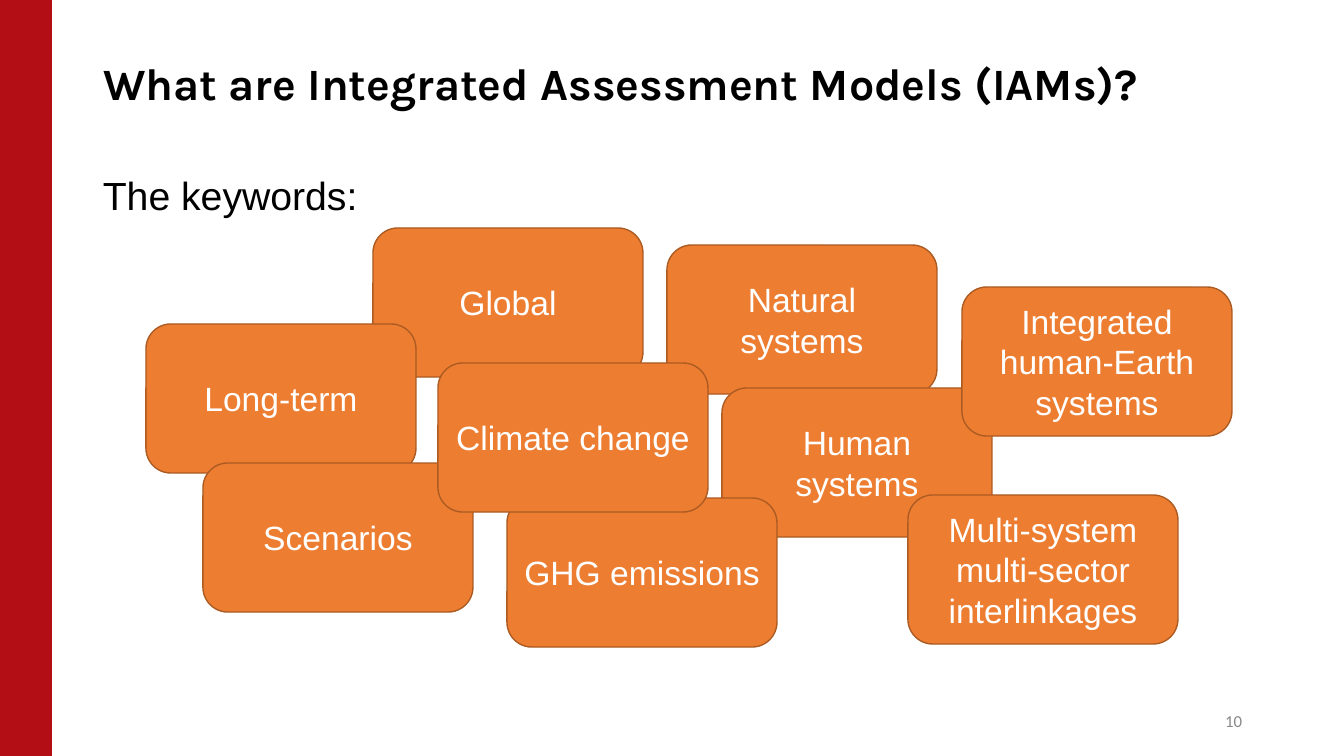
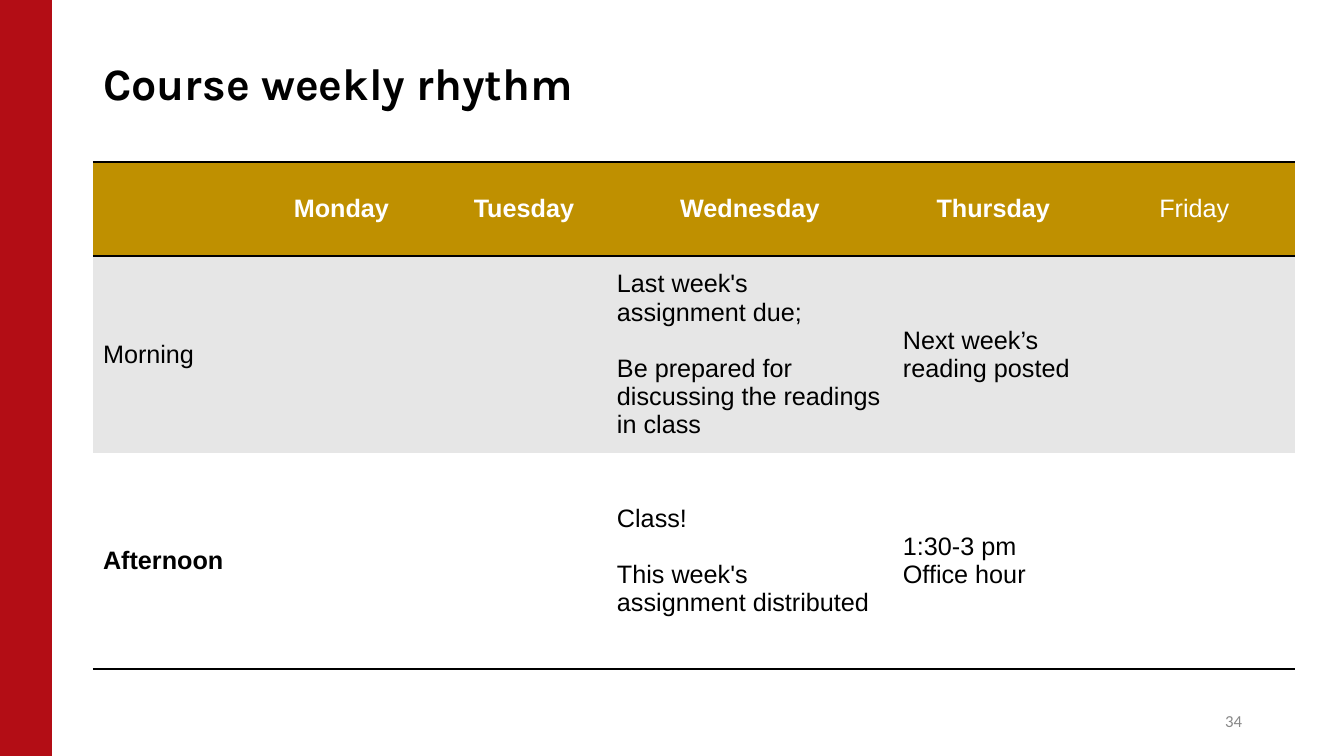
from dataclasses import dataclass

from lxml.etree import SubElement
from pptx import Presentation
from pptx.dml.color import RGBColor as RGB
from pptx.enum.shapes import MSO_SHAPE as SHAPE
from pptx.enum.text import MSO_ANCHOR as ANCHOR, PP_ALIGN as ALIGN
from pptx.oxml.ns import qn
from pptx.util import Pt

EMU_PER_PX = 914400 / 100.8
NO_STYLE = "{2D5ABB26-0587-4C30-8999-92F81FD0307C}"


@dataclass(frozen=True)
class Theme:
    """Colours, fonts and type sizes shared by the slides."""
    red: str = "B30D15"
    orange: str = "ED7D31"
    rust: str = "AC5B23"
    gold: str = "BF9000"
    pale: str = "E6E6E6"
    grey: str = "888888"
    black: str = "000000"
    white: str = "FFFFFF"
    title_font: str = "Karla"
    body_font: str = "Arial"
    number_font: str = "Calibri"
    title: int = 32
    lead: int = 28
    card: int = 24
    table: int = 18
    number: int = 12


T = Theme()
WIDTH, HEIGHT = 1344, 756
TITLE_BOX = (93, 28, 1202, 110)
BODY_BOX = (93, 162, 1202, 551)
NUMBER_BOX = (950, 701, 302, 40)
CARD_SIZE = (270, 149)

KEYWORDS = [
    ("Global", 280, 66),
    ("Long-term", 53, 162),
    ("Scenarios", 110, 301),
    ("Natural systems", 574, 83),
    ("Human systems", 629, 226),
    ("GHG emissions", 414, 336),
    ("Integrated human-Earth systems", 869, 125),
    ("Climate change", 345, 201),
    ("Multi-system multi-sector interlinkages", 815, 333),
]

COLUMNS = [149, 199, 166, 286, 201, 201]
ROWS = [94, 197, 216]
WEEK = [
    ["", "Monday", "Tuesday", "Wednesday", "Thursday", "Friday"],
    ["Morning", "", "",
     "Last week's assignment due;\nBe prepared for discussing the readings in class",
     "Next week’s reading posted", ""],
    ["Afternoon", "", "",
     "Class!\nThis week's assignment distributed",
     "1:30-3 pm Office hour", ""],
]
BOLD = {"Monday", "Tuesday", "Wednesday", "Thursday", "Afternoon"}
ROW_FILLS = [T.gold, T.pale, T.white]
ROW_EDGES = [("a:lnT", "a:lnB"), (), ("a:lnB",)]


def px(*values):
    """Turn pixel lengths into EMU."""
    return [round(v * EMU_PER_PX) for v in values]


def write(tf, text, size, color, font=T.body_font, bold=False,
          align=ALIGN.LEFT, anchor=ANCHOR.MIDDLE, gap=0):
    """Set the text of a frame and format its paragraphs and runs."""
    tf.text = text
    tf.word_wrap = True
    tf.vertical_anchor = anchor
    for i, p in enumerate(tf.paragraphs):
        p.alignment = align
        if i and gap:
            p.space_before = Pt(gap)
        for r in p.runs:
            r.font.name, r.font.size, r.font.bold = font, Pt(size), bold
            r.font.color.rgb = RGB.from_string(color)


def add_box(slide, kind, box, fill, line=None):
    """Add a filled preset shape, outlined when a line colour is given."""
    sp = slide.shapes.add_shape(kind, *px(*box))
    sp.shadow.inherit = False
    sp.fill.solid()
    sp.fill.fore_color.rgb = RGB.from_string(fill)
    if line:
        sp.line.color.rgb = RGB.from_string(line)
        sp.line.width = Pt(1)
    else:
        sp.line.fill.background()
    return sp


def add_text(slide, box, text, size, color, **style):
    """Add a text box."""
    write(slide.shapes.add_textbox(*px(*box)).text_frame, text, size, color, **style)


def add_frame(prs, title, number):
    """Add a slide with its side band, title and page number."""
    slide = prs.slides.add_slide(prs.slide_layouts[5])
    add_box(slide, SHAPE.RECTANGLE, (0, 0, 52, HEIGHT), T.red)
    add_text(slide, NUMBER_BOX, str(number), T.number, T.grey,
             font=T.number_font, align=ALIGN.RIGHT)
    sp = slide.shapes.title
    sp.left, sp.top, sp.width, sp.height = px(*TITLE_BOX)
    write(sp.text_frame, title, T.title, T.black, font=T.title_font, bold=True)
    return slide


def add_keywords(slide, box):
    """Place the lead line and the overlapping keyword cards in a box."""
    left, top, width, _ = box
    add_text(slide, (left, top + 4, width, 56), "The keywords:", T.lead, T.black,
             anchor=ANCHOR.TOP)
    for text, x, y in KEYWORDS:
        sp = add_box(slide, SHAPE.ROUNDED_RECTANGLE,
                     (left + x, top + y, *CARD_SIZE), T.orange, T.rust)
        write(sp.text_frame, text, T.card, T.white, align=ALIGN.CENTER)


def add_edge(cell, tag):
    """Draw a black rule on one edge of a cell."""
    ln = SubElement(cell._tc.get_or_add_tcPr(), qn(tag), w=str(Pt(2)))
    fill = SubElement(ln, qn("a:solidFill"))
    SubElement(fill, qn("a:srgbClr"), val=T.black)


def add_week(slide, box):
    """Place the weekly table at the top left of a box."""
    left, top, _, _ = box
    shape = slide.shapes.add_table(
        len(ROWS), len(COLUMNS), *px(left, top, sum(COLUMNS), sum(ROWS)))
    table = shape.table
    table.horz_banding = False
    table._tbl.tblPr.find(qn("a:tableStyleId")).text = NO_STYLE
    for column, width in zip(table.columns, px(*COLUMNS)):
        column.width = width
    for row, height in zip(table.rows, px(*ROWS)):
        row.height = height
    for i, texts in enumerate(WEEK):
        header = i == 0
        for j, text in enumerate(texts):
            cell = table.cell(i, j)
            for tag in ROW_EDGES[i]:
                add_edge(cell, tag)
            cell.fill.solid()
            cell.fill.fore_color.rgb = RGB.from_string(ROW_FILLS[i])
            write(cell.text_frame, text, T.table, T.white if header else T.black,
                  bold=text in BOLD, gap=20,
                  align=ALIGN.CENTER if header else ALIGN.LEFT)
            cell.vertical_anchor = ANCHOR.MIDDLE


def main():
    """Build and save the presentation."""
    prs = Presentation()
    prs.slide_width, prs.slide_height = px(WIDTH, HEIGHT)
    add_keywords(add_frame(prs, "What are Integrated Assessment Models (IAMs)?", 10),
                 BODY_BOX)
    add_week(add_frame(prs, "Course weekly rhythm", 34), BODY_BOX)
    prs.save("out.pptx")


if __name__ == "__main__":
    main()
